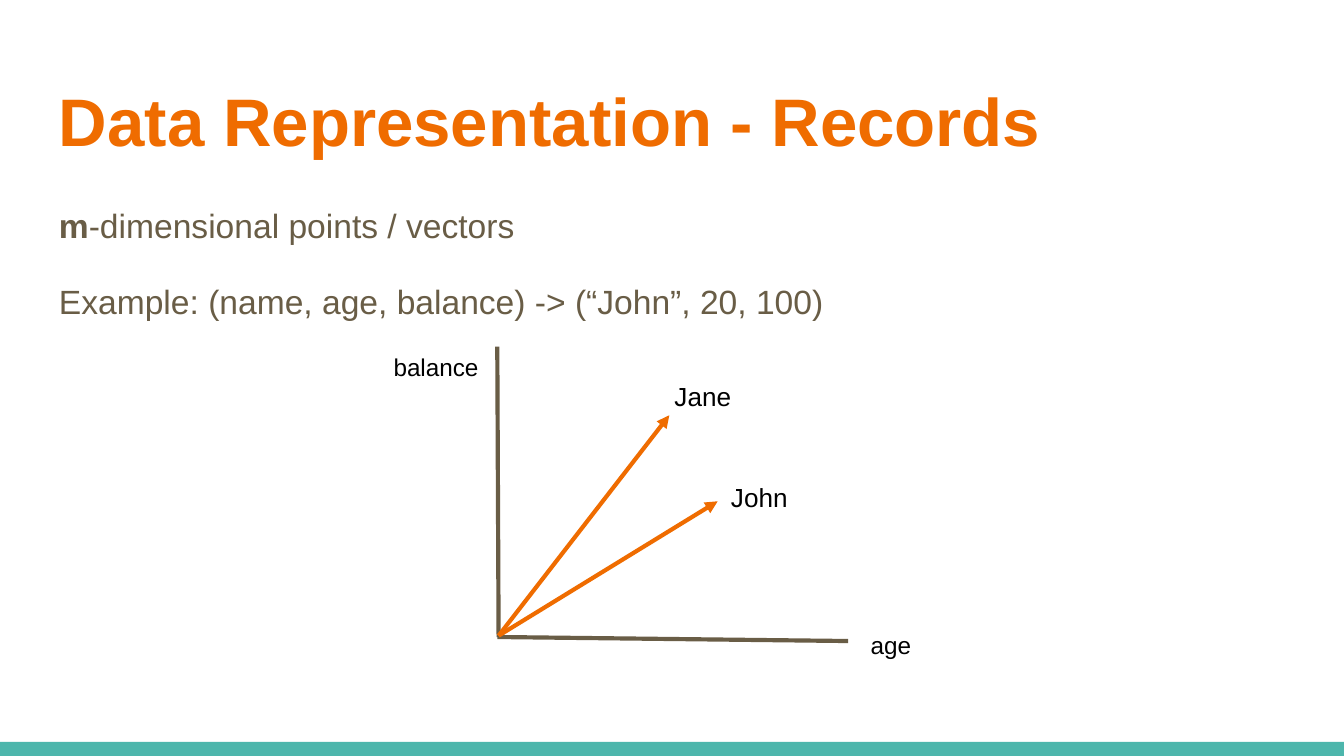
from typing import NamedTuple

from lxml import etree
from pptx import Presentation
from pptx.dml.color import RGBColor
from pptx.enum import shapes, text
from pptx.oxml import ns
from pptx.util import Inches, Pt

ORANGE = RGBColor(0xEF, 0x6C, 0x00)
BROWN = RGBColor(0x69, 0x5D, 0x46)
TEAL = RGBColor(0x4D, 0xB6, 0xAC)
BLACK = RGBColor(0, 0, 0)
WHITE = RGBColor(0xFF, 0xFF, 0xFF)
FONT = "Arial"
INSET = Inches(0.1)


class Box(NamedTuple):
    left: float
    top: float
    width: float
    height: float


class Line(NamedTuple):
    start: tuple[float, float]
    end: tuple[float, float]
    color: RGBColor
    arrow: bool = False


class Label(NamedTuple):
    words: str
    box: Box
    size: int


AXES = [
    Line((3.7, 2.58), (3.71, 4.74), BROWN),
    Line((3.7, 4.74), (6.31, 4.77), BROWN),
]
VECTORS = [
    Line((3.71, 4.73), (5.34, 3.73), ORANGE, arrow=True),
    Line((3.71, 4.73), (4.98, 3.09), ORANGE, arrow=True),
]
BALANCE = Label("balance", Box(2.83, 2.52, 0.99, 0.43), 13)
AGE = Label("age", Box(6.38, 4.59, 0.79, 0.69), 13)
NAMES = [
    Label("Jane", Box(4.92, 2.73, 0.99, 0.35), 14),
    Label("John", Box(5.34, 3.48, 0.99, 0.35), 14),
]


def add_rect(s, box: Box, color: RGBColor):
    rect = s.shapes.add_shape(shapes.MSO_SHAPE.RECTANGLE, *map(Inches, box))
    rect.shadow.inherit = False
    rect.fill.solid()
    rect.fill.fore_color.rgb = color
    rect.line.fill.background()
    return rect


def add_textbox(s, box: Box):
    return s.shapes.add_textbox(*map(Inches, box))


def write(sp, *paragraphs: list[tuple[str, bool]], size: int, color: RGBColor,
          spacing: float = 1.0, gap: float = 0) -> None:
    """Fill a shape with paragraphs, each a list of (words, bold) runs."""
    tf = sp.text_frame
    tf.word_wrap = True
    tf.vertical_anchor = text.MSO_ANCHOR.TOP
    tf.margin_left = tf.margin_right = tf.margin_top = tf.margin_bottom = INSET
    for i, runs in enumerate(paragraphs):
        p = tf.add_paragraph() if i else tf.paragraphs[0]
        p.alignment = text.PP_ALIGN.LEFT
        p.line_spacing = spacing
        if i:
            p.space_before = p.space_after = Pt(gap)
        for words, bold in runs:
            r = p.add_run()
            r.text = words
            r.font.name = FONT
            r.font.size = Pt(size)
            r.font.bold = bold
            r.font.color.rgb = color


def write_label(sp, label: Label) -> None:
    write(sp, [(label.words, False)], size=label.size, color=BLACK)


def add_line(s, line: Line) -> None:
    c = s.shapes.add_connector(shapes.MSO_CONNECTOR.STRAIGHT,
                               *map(Inches, line.start + line.end))
    c.line.color.rgb = line.color
    c.line.width = Pt(2.25)
    if line.arrow:
        etree.SubElement(c.line._get_or_add_ln(), ns.qn("a:tailEnd"), type="triangle")
    etree.SubElement(c._element.spPr, ns.qn("a:effectLst"))


def main() -> None:
    prs = Presentation()
    prs.slide_width = Inches(10)
    prs.slide_height = prs.slide_width * 9 // 16
    s = prs.slides.add_slide(prs.slide_layouts[6])

    add_rect(s, Box(0, 5.52, 10, 0.11), TEAL)
    write(add_textbox(s, Box(0.34, 0.49, 9.32, 0.77)),
          [("Data Representation - Records", True)],
          size=36, color=ORANGE)
    write(add_textbox(s, Box(0.34, 1.38, 9.32, 1.13)),
          [("m", True), ("-dimensional points / vectors", False)],
          [("Example: (name, age, balance) -> (“John”, 20, 100)", False)],
          size=18, color=BROWN, spacing=1.15, gap=16)

    for axis in AXES:
        add_line(s, axis)
    write_label(add_textbox(s, BALANCE.box), BALANCE)
    write_label(add_rect(s, AGE.box, WHITE), AGE)
    for vector in VECTORS:
        add_line(s, vector)
    for name in NAMES:
        write_label(add_textbox(s, name.box), name)

    prs.save("out.pptx")


if __name__ == "__main__":
    main()
